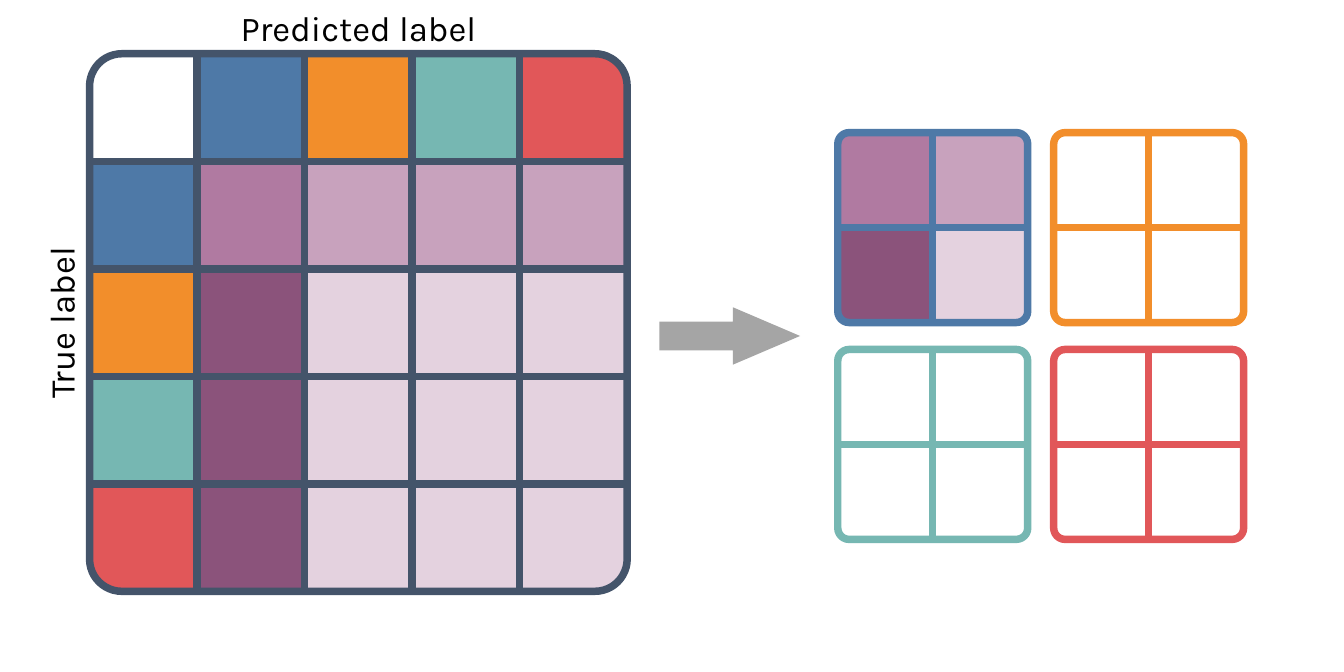
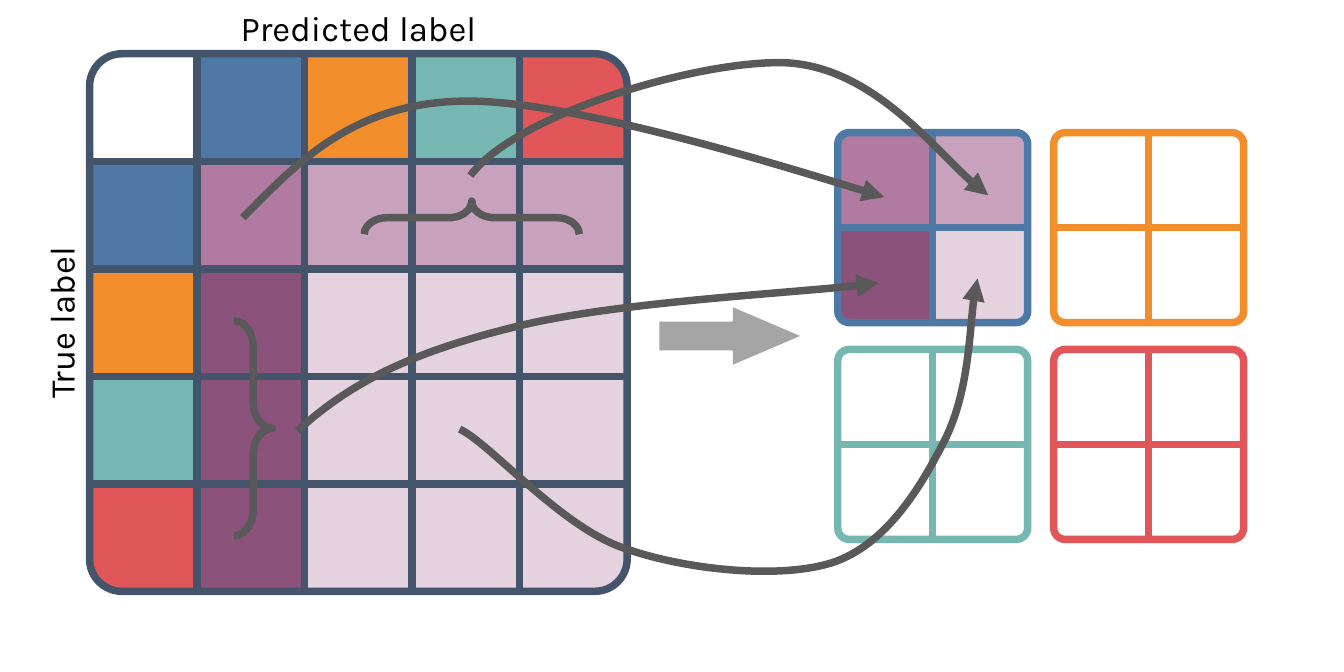
from collections import namedtuple
from dataclasses import dataclass

from lxml.etree import SubElement
from pptx import Presentation
from pptx.dml.color import RGBColor
from pptx.enum.shapes import MSO_CONNECTOR, MSO_SHAPE as Preset
from pptx.enum.text import MSO_AUTO_SIZE as AutoSize, PP_ALIGN as Align
from pptx.oxml.ns import qn
from pptx.util import Emu, Pt

PX = 9144  # EMU per px, 100 px to the inch
Box = namedtuple("Box", "left top width height")


@dataclass(frozen=True)
class Theme:
    blue: str = "4E79A7"
    orange: str = "F28E2B"
    teal: str = "76B7B2"
    red: str = "E15759"
    true_positive: str = "B07AA1"
    false_negative: str = "C8A2BD"
    false_positive: str = "8B537B"
    true_negative: str = "E4D2DF"
    frame: str = "44546A"
    flow: str = "595959"
    arrow: str = "A5A5A5"
    white: str = "FFFFFF"
    ink: str = "000000"
    font: str = "Karla"
    label_size: int = 28
    stroke: int = 6
    rounding: float = 0.06


THEME = Theme()
CLASSES = (THEME.blue, THEME.orange, THEME.teal, THEME.red)

SLIDE = Box(0, 0, 1500, 750)
MATRIX = Box(100, 60, 600, 600)
SUMMARIES = Box(935, 148, 453, 454)
ARROW = Box(736, 343, 157, 64)


def emu(box):
    return [Emu(round(length * PX)) for length in box]


def style_line(line, color):
    line.color.rgb = RGBColor.from_string(color)
    line.width = Pt(THEME.stroke)


def add_preset(shapes, preset, box, fill=None, line=None, adjust=(), rotation=0):
    shape = shapes.add_shape(preset, *emu(box))
    shape.shadow.inherit = False
    shape.rotation = rotation
    for index, value in enumerate(adjust):
        shape.adjustments[index] = value
    if fill:
        shape.fill.solid()
        shape.fill.fore_color.rgb = RGBColor.from_string(fill)
    else:
        shape.fill.background()
    if line:
        style_line(shape.line, line)
    else:
        shape.line.fill.background()
    return shape


def add_rule(shapes, start, end, color):
    rule = shapes.add_connector(MSO_CONNECTOR.STRAIGHT, *emu(start + end))
    style_line(rule.line, color)
    SubElement(rule.element.spPr, qn("a:effectLst"))


def add_grid(shapes, box, count, color, fill=None):
    """Rounded frame divided into count x count cells."""
    add_preset(shapes, Preset.ROUNDED_RECTANGLE, box, fill, color, [THEME.rounding])
    left, top, width, height = box
    for step in range(1, count):
        x, y = left + width * step // count, top + height * step // count
        add_rule(shapes, (x, top), (x, top + height), color)
        add_rule(shapes, (left, y), (left + width, y), color)


def add_label(shapes, box, text, rotation=0):
    label = shapes.add_textbox(*emu(box))
    label.rotation = rotation
    frame = label.text_frame
    frame.word_wrap = True
    frame.auto_size = AutoSize.SHAPE_TO_FIT_TEXT
    paragraph = frame.paragraphs[0]
    paragraph.alignment = Align.CENTER
    run = paragraph.add_run()
    run.text = text
    run.font.name = THEME.font
    run.font.size = Pt(THEME.label_size)
    run.font.color.rgb = RGBColor.from_string(THEME.ink)


def confusion_matrix(slide, box):
    shapes = slide.shapes.add_group_shape().shapes
    cell = box.width // 5

    def tile(column, row, color, columns=1, rows=1, preset=Preset.RECTANGLE,
             adjust=(), rotation=0):
        area = Box(box.left + column * cell, box.top + row * cell,
                   columns * cell, rows * cell)
        add_preset(shapes, preset, area, color, None, adjust, rotation)

    # Outcome regions for the blue class
    tile(1, 1, THEME.true_positive)
    tile(2, 1, THEME.false_negative, columns=3)
    tile(1, 2, THEME.false_positive, rows=3)
    tile(2, 2, THEME.true_negative, 3, 3, Preset.ROUND_1_RECTANGLE, [0.1], 90)

    # Class colours along both axes, the last one rounded like the frame
    for place, color in enumerate(CLASSES[:-1], start=1):
        tile(place, 0, color)
        tile(0, place, color)
    tile(4, 0, THEME.red, preset=Preset.ROUND_1_RECTANGLE, adjust=[0.3])
    tile(0, 4, THEME.red, preset=Preset.ROUND_1_RECTANGLE, adjust=[0.3], rotation=180)

    add_grid(shapes, box, 5, THEME.frame)

    # Axis labels
    depth = 57
    add_label(slide.shapes, Box(box.left, box.top - depth, box.width, depth),
              "Predicted label")
    middle = box.top + box.height // 2
    add_label(slide.shapes,
              Box(box.left - 32 - box.height // 2, middle - depth // 2,
                  box.height, depth),
              "True label", rotation=270)


def class_summaries(slide, box):
    size, inset = 212, 3
    half = size // 2
    outcomes = (THEME.true_positive, THEME.false_negative,
                THEME.false_positive, THEME.true_negative)
    for place, color in enumerate(CLASSES):
        row, column = divmod(place, 2)
        panel = Box(box.left + column * (box.width - size),
                    box.top + row * (box.height - size), size, size)
        shapes = slide.shapes.add_group_shape().shapes
        if place == 0:
            for index, outcome in enumerate(outcomes):
                y, x = divmod(index, 2)
                quarter = Box(panel.left + x * half + inset,
                              panel.top + y * half + inset,
                              half - 2 * inset, half - 2 * inset)
                add_preset(shapes, Preset.RECTANGLE, quarter, outcome)
        add_grid(shapes, panel, 2, color, THEME.white if place else None)


def add_flow(shapes, box, points):
    """Curved arrow: a start point, then three points for each Bézier segment."""
    start, *rest = [(box.left + x, box.top + y) for x, y in points]
    builder = shapes.build_freeform(*start, scale=PX)
    builder.add_line_segments(rest, close=False)
    flow = builder.convert_to_shape()
    flow.shadow.inherit = False
    flow.fill.background()
    style_line(flow.line, THEME.flow)

    # Turn each three vertices into one cubic segment
    outline = flow.element.find(".//" + qn("a:path"))
    vertices = outline.findall(qn("a:lnTo"))
    for first in range(0, len(vertices), 3):
        curve = SubElement(outline, qn("a:cubicBezTo"))
        for vertex in vertices[first:first + 3]:
            curve.append(vertex[0])
            outline.remove(vertex)
    SubElement(flow.element.spPr.find(qn("a:ln")), qn("a:tailEnd"), type="triangle")


def outcome_flows(slide, box):
    true_positive = [(271, 243), (333, 180), (394, 116), (514, 113),
                     (633, 109), (980, 218), (987, 220)]
    false_negative = [(525, 196), (576, 127), (780, 67), (876, 70),
                      (972, 74), (1063, 191), (1103, 218)]
    true_negative = [(513, 479), (546, 494), (624, 586), (694, 611),
                     (763, 636), (869, 647), (929, 628),
                     (989, 608), (1027, 545), (1054, 492),
                     (1081, 439), (1085, 322), (1091, 311)]
    false_positive = [(332, 481), (393, 425), (462, 393), (570, 366),
                      (678, 338), (895, 327), (981, 316)]
    for points in (true_positive, false_negative, true_negative, false_positive):
        add_flow(slide.shapes, box, points)


def outcome_braces(slide, box):
    # Row of false negatives, then column of false positives
    for x, y, width, rotation in ((408, 63, 37, 90), (161, 298, 43, 180)):
        add_preset(slide.shapes, Preset.LEFT_BRACE,
                   Box(box.left + x, box.top + y, width, 240),
                   line=THEME.flow, adjust=[0.69, 0.5], rotation=rotation)


def decomposition_slide(deck, with_flows=False):
    slide = deck.slides.add_slide(deck.slide_layouts[6])
    confusion_matrix(slide, MATRIX)
    class_summaries(slide, SUMMARIES)
    add_preset(slide.shapes, Preset.RIGHT_ARROW, ARROW, THEME.arrow,
               adjust=[0.5, 1.17])
    if with_flows:
        outcome_flows(slide, SLIDE)
        outcome_braces(slide, MATRIX)


def main():
    deck = Presentation()
    deck.slide_width, deck.slide_height = emu(SLIDE)[2:]
    decomposition_slide(deck)
    decomposition_slide(deck, with_flows=True)
    deck.save("out.pptx")


if __name__ == "__main__":
    main()
